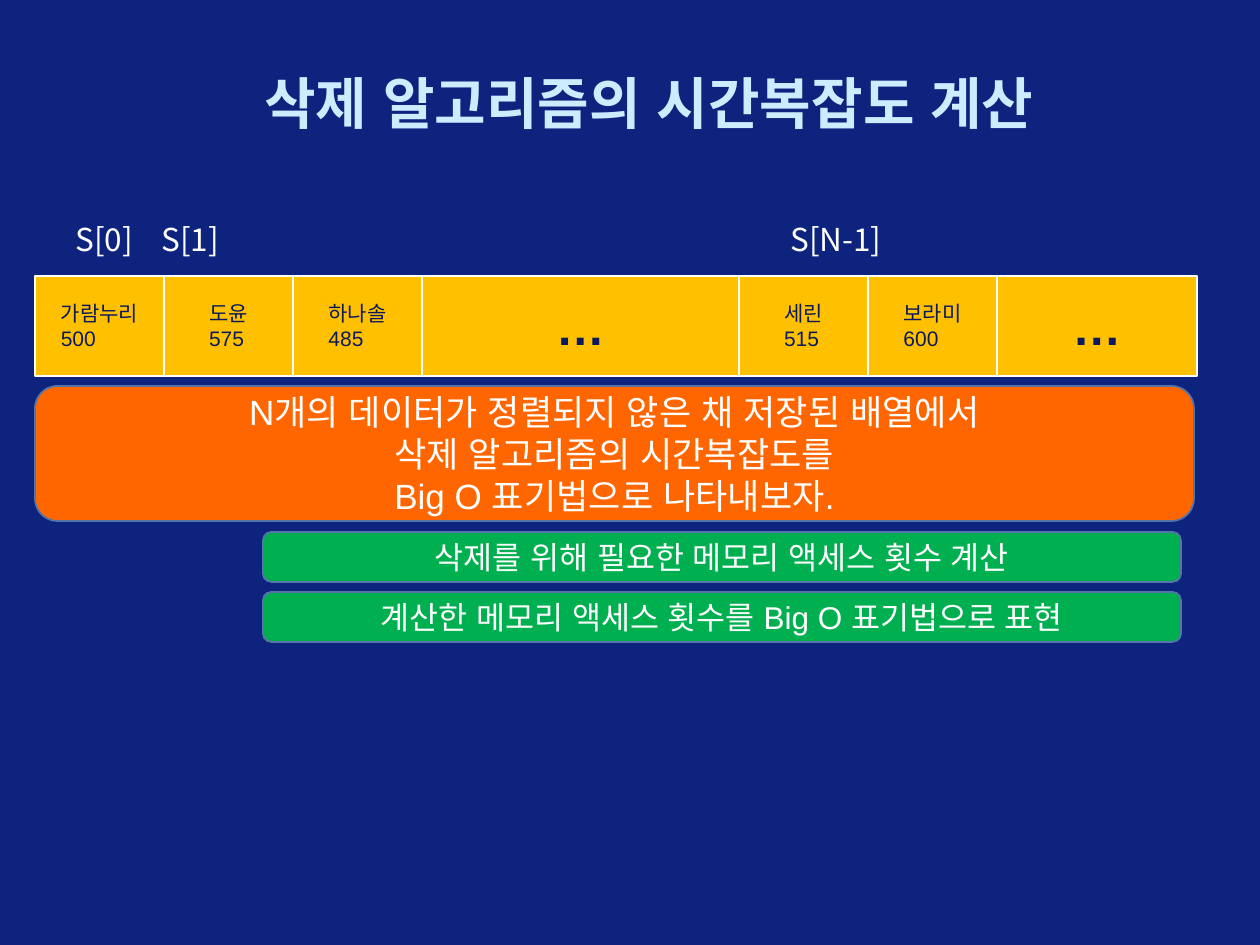
from lxml import etree
from pptx import Presentation
from pptx import util as u
from pptx.dml.color import RGBColor
from pptx.enum import shapes, text
from pptx.oxml import ns

SCALE = 914400 / 126
THEME = {
    "background": "0E237E", "title": "CCECFF", "white": "FFFFFF", "cell": "FFC000",
    "cell_text": "0B1A5E", "question": "FF6600", "step": "00B050", "outline": "5375A7",
    "font": "Arial", "label_font": "Noto Sans CJK KR",
    "title_size": 32, "ellipsis_size": 28, "question_size": 20, "body_size": 18, "cell_size": 12,
}


def px(*lengths):
    return [u.Emu(round(length * SCALE)) for length in lengths]


def write(shape, words, size, color, align=text.PP_ALIGN.LEFT, bold=False, font="font", wrap=True):
    frame = shape.text_frame
    frame.text = words
    frame.word_wrap = wrap
    frame.vertical_anchor = text.MSO_ANCHOR.MIDDLE
    if not wrap:
        frame._txBody.bodyPr.set("anchorCtr", "1")
    for paragraph in frame.paragraphs:
        paragraph.alignment = align
        for run in paragraph.runs:
            run.font.name = THEME[font]
            run.font.size = u.Pt(THEME[size])
            run.font.bold = bold
            run.font.color.rgb = RGBColor.from_string(THEME[color])
            etree.SubElement(run._r.get_or_add_rPr(), ns.qn("a:ea"), typeface=THEME[font])


presentation = Presentation()
presentation.slide_width, presentation.slide_height = px(1260, 945)
slide = presentation.slides.add_slide(presentation.slide_layouts[6])
slide.background.fill.solid()
slide.background.fill.fore_color.rgb = RGBColor.from_string(THEME["background"])

title = slide.shapes.add_textbox(*px(252, 63, 955, 78))
write(title, "삭제 알고리즘의 시간복잡도 계산", "title_size", "title", bold=True)

index_labels = slide.shapes.add_textbox(*px(63, 214, 1190, 50))
write(index_labels, "S[0]\tS[1]\tS[N-1]", "body_size", "white", font="label_font")
properties = index_labels.text_frame.paragraphs[0]._p.get_or_add_pPr()
tab_list = etree.SubElement(properties, ns.qn("a:tabLst"))
for position in px(86, 715):
    etree.SubElement(tab_list, ns.qn("a:tab"), pos=str(position), algn="l")

cells = [
    ("가람누리\n500", 129), ("도윤\n575", 129), ("하나솔\n485", 129), ("…", 317),
    ("세린\n515", 129), ("보라미\n600", 129), ("…", 200),
]
left = 35
boxes = []
for words, width in cells:
    is_gap = words == "…"
    size = "ellipsis_size" if is_gap else "cell_size"
    boxes.append((shapes.MSO_SHAPE.RECTANGLE, (left, 276, width, 100), "cell", "white", 0.75,
                  words, size, "cell_text", text.PP_ALIGN.LEFT, is_gap, False))
    left += width

question = "N개의 데이터가 정렬되지 않은 채 저장된 배열에서\n삭제 알고리즘의 시간복잡도를\nBig O 표기법으로 나타내보자."
panels = [
    ((35, 386, 1159, 135), "question", question, "question_size"),
    ((263, 532, 918, 50), "step", "삭제를 위해 필요한 메모리 액세스 횟수 계산", "body_size"),
    ((263, 592, 918, 50), "step", "계산한 메모리 액세스 횟수를 Big O 표기법으로 표현", "body_size"),
]
for bounds, fill, words, size in panels:
    boxes.append((shapes.MSO_SHAPE.ROUNDED_RECTANGLE, bounds, fill, "outline", 1,
                  words, size, "white", text.PP_ALIGN.CENTER, False, True))

for kind, bounds, fill, line, line_width, words, size, color, align, bold, wrap in boxes:
    box = slide.shapes.add_shape(kind, *px(*bounds))
    box.shadow.inherit = False
    box.fill.solid()
    box.fill.fore_color.rgb = RGBColor.from_string(THEME[fill])
    box.line.color.rgb = RGBColor.from_string(THEME[line])
    box.line.width = u.Pt(line_width)
    write(box, words, size, color, align, bold, wrap=wrap)

presentation.save("out.pptx")
